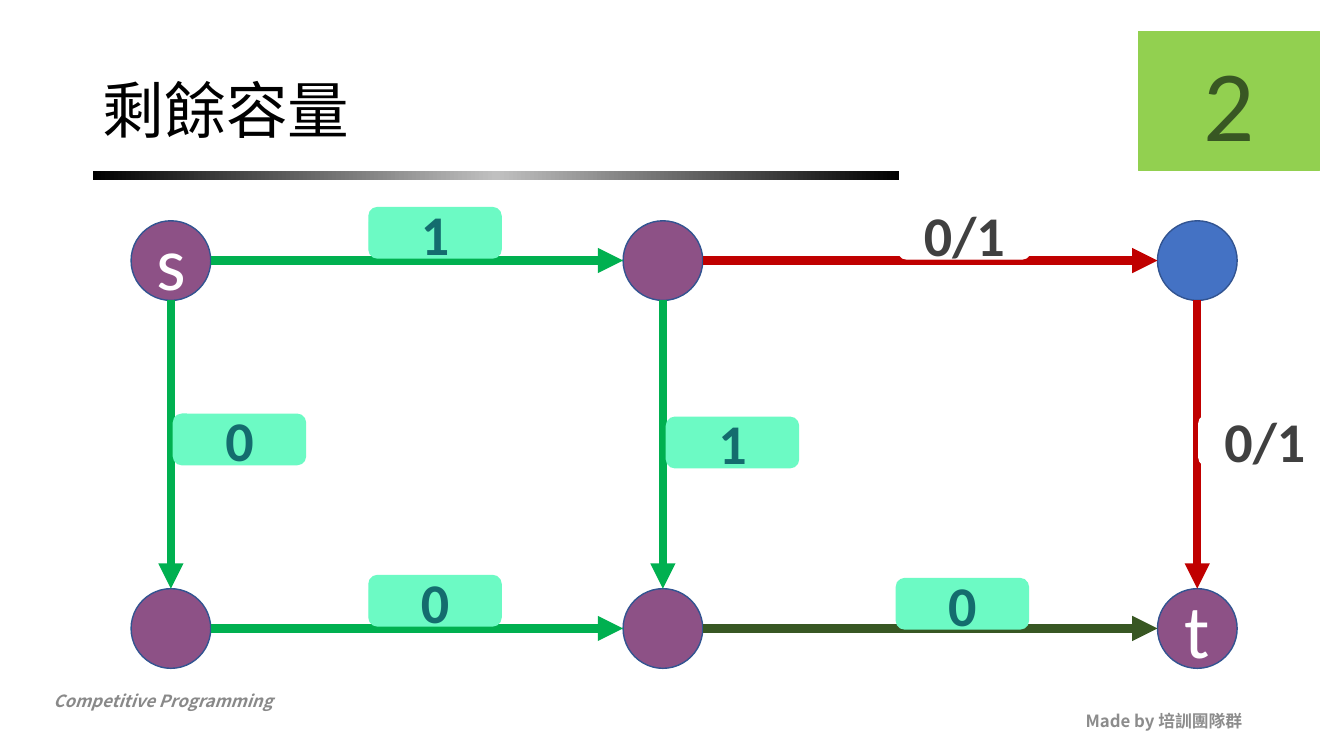
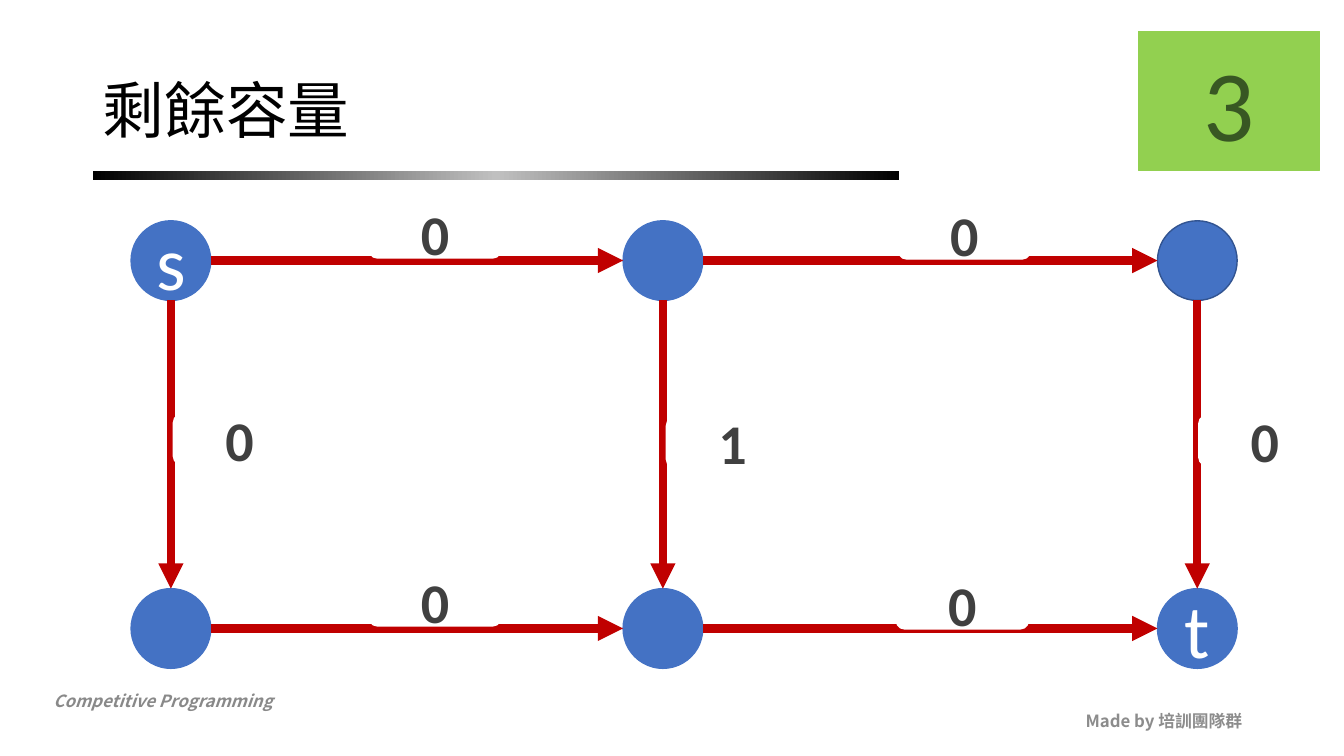
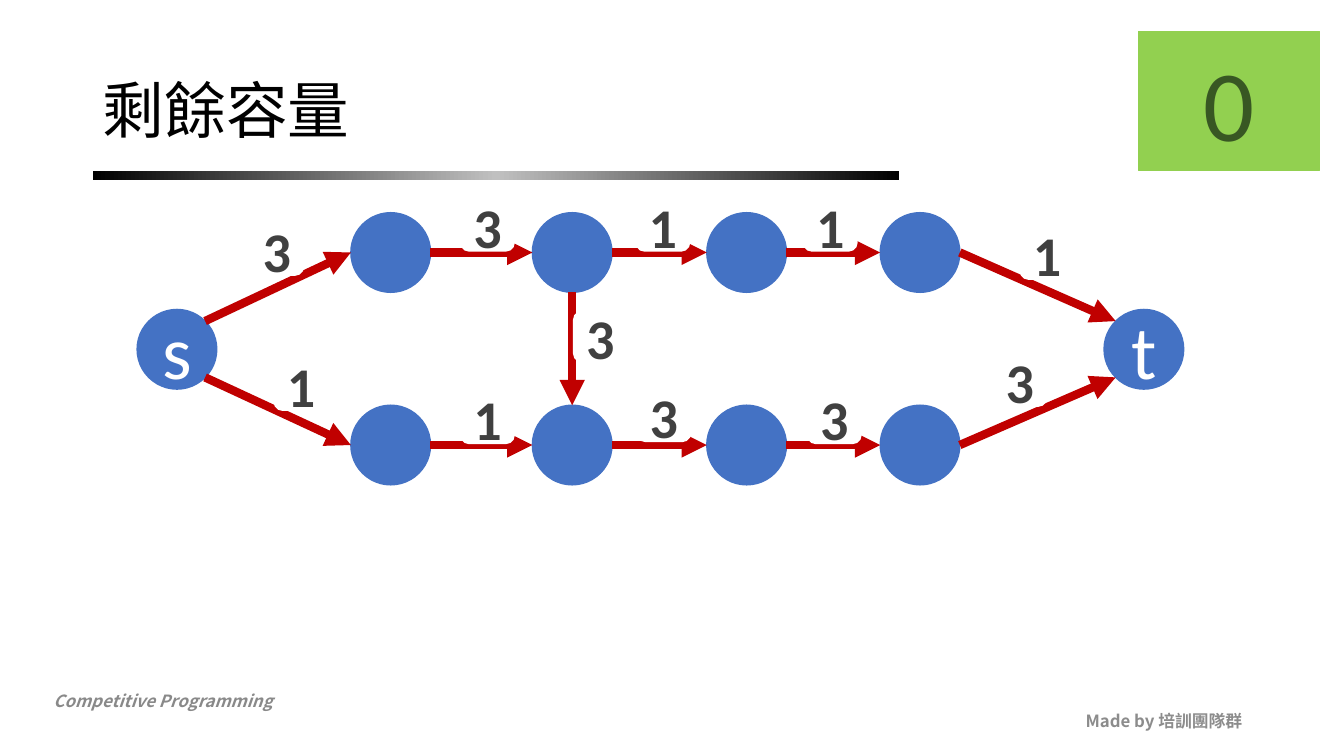
from copy import deepcopy
from dataclasses import dataclass
from math import sqrt

from lxml.etree import SubElement
from pptx import Presentation
from pptx.dml.color import RGBColor
from pptx.enum.shapes import MSO_CONNECTOR, MSO_SHAPE
from pptx.enum.text import MSO_ANCHOR, PP_ALIGN
from pptx.oxml.ns import qn
from pptx.util import Inches, Pt


@dataclass(frozen=True)
class Theme:
    latin: str = "Calibri"
    cjk: str = "Noto Sans CJK SC"
    title_color: str = "000000"
    course_color: str = "898989"
    credit_color: str = "8C8C8C"
    rule_stops: tuple = ((0, "000000"), (0.5, "C0C0C0"), (1, "000000"))
    badge_fill: str = "92D050"
    badge_text: str = "385723"
    node_text: str = "FFFFFF"
    title_size: int = 44
    footer_size: int = 12
    badge_size: int = 72
    node_size: int = 54
    label_size: int = 40
    outline: int = 1
    arrow: int = 6


T = Theme()

# Node look: fill, outline
NODE_LOOKS = {
    "idle": ("4472C4", "4472C4"),
    "outlined": ("4472C4", "325491"),
    "visited": ("8D5186", "325491"),
}
# Edge look: arrow, label fill, label text
EDGE_LOOKS = {
    "idle": ("C00000", "FFFFFF", "404040"),
    "path": ("00B050", "6CFAC4", "146C6E"),
    "last": ("385723", "6CFAC4", "146C6E"),
}

TITLE = "剩餘容量"
COURSE = "Competitive Programming"
CREDIT = "Made by 培訓團隊群"

NODE = 0.79
LABEL_H = 0.5
DIAGONAL = sqrt(0.5)
PORTS = {
    "n": (0, -1), "s": (0, 1), "w": (-1, 0), "e": (1, 0),
    "ne": (DIAGONAL, -DIAGONAL), "se": (DIAGONAL, DIAGONAL),
    "nw": (-DIAGONAL, -DIAGONAL), "sw": (-DIAGONAL, DIAGONAL),
}


def node_grid(names, columns, rows):
    """Node names, row by row, mapped to their left and top."""
    places = [(x, y) for y in rows for x in columns]
    return dict(zip(names, places))


# Edge: start node, its port, end node, its port, label left, label top
GRID = dict(
    label_w=1.31,
    nodes=node_grid(["s", "b1", "c1", "a2", "b2", "t"],
                    [1.3, 6.18, 11.48], [2.19, 5.84]),
    edges=[
        ("s", "e", "b1", "w", 3.66, 2.06),
        ("a2", "e", "b2", "w", 3.66, 5.71),
        ("s", "s", "a2", "n", 1.72, 4.11),
        ("b1", "e", "c1", "w", 8.91, 2.07),
        ("b1", "s", "b2", "n", 6.61, 4.14),
        ("b2", "e", "t", "w", 8.89, 5.74),
        ("c1", "s", "t", "n", 11.89, 4.12),
    ],
)
CHAIN = dict(
    label_w=0.53,
    nodes={
        **node_grid(["a1", "b1", "c1", "d1", "a2", "b2", "c2", "d2"],
                    [3.48, 5.28, 7.01, 8.73], [2.11, 4.02]),
        "s": (1.36, 3.07),
        "t": (10.95, 3.07),
    },
    edges=[
        ("s", "ne", "a1", "w", 2.48, 2.23),
        ("s", "se", "a2", "w", 2.72, 3.57),
        ("a1", "e", "b1", "w", 4.57, 1.99),
        ("b1", "e", "c1", "w", 6.31, 1.99),
        ("c1", "e", "d1", "w", 7.97, 1.99),
        ("a2", "e", "b2", "w", 4.57, 3.9),
        ("b2", "e", "c2", "w", 6.32, 3.88),
        ("c2", "e", "d2", "w", 8.01, 3.9),
        ("b1", "s", "b2", "n", 5.69, 3.09),
        ("d1", "e", "t", "nw", 10.12, 2.27),
        ("d2", "e", "t", "sw", 9.85, 3.53),
    ],
)

# Capacities and edge looks follow the order of the graph's edges
SLIDES = [
    dict(flow="2", graph=GRID,
         capacities=["1", "0", "0", "0/1", "1", "0", "0/1"],
         edge_looks=["path", "path", "path", "idle", "path", "last", "idle"],
         node_looks={**dict.fromkeys(["s", "b1", "a2", "b2", "t"], "visited"),
                     "c1": "outlined"}),
    dict(flow="3", graph=GRID,
         capacities=["0", "0", "0", "0", "1", "0", "0"],
         node_looks={"c1": "outlined"}),
    dict(flow="0", graph=CHAIN,
         capacities=["3", "1", "3", "1", "1", "1", "3", "3", "3", "1", "3"]),
]


def rgb(color):
    return RGBColor.from_string(color)


def write(tf, text, font, size, color, bold=False, italic=False,
          align=PP_ALIGN.LEFT, anchor=MSO_ANCHOR.MIDDLE):
    tf.word_wrap = True
    tf.vertical_anchor = anchor
    p = tf.paragraphs[0]
    p.alignment = align
    r = p.add_run()
    r.text = text
    f = r.font
    f.name, f.size, f.bold, f.italic = font, Pt(size), bold, italic
    f.color.rgb = rgb(color)
    SubElement(r.font._element, qn("a:ea")).set("typeface", font)
    return p


def add_shape(slide, kind, x, y, w, h, fill, outline):
    sp = slide.shapes.add_shape(kind, Inches(x), Inches(y), Inches(w), Inches(h))
    sp.shadow.inherit = False
    sp.fill.solid()
    sp.fill.fore_color.rgb = rgb(fill)
    sp.line.color.rgb = rgb(outline)
    sp.line.width = Pt(T.outline)
    return sp


def add_arrow(slide, start, end, color):
    (x1, y1), (x2, y2) = start, end
    cxn = slide.shapes.add_connector(
        MSO_CONNECTOR.STRAIGHT, Inches(x1), Inches(y1), Inches(x2), Inches(y2))
    cxn.line.color.rgb = rgb(color)
    cxn.line.width = Pt(T.arrow)
    props = cxn.element.spPr
    SubElement(props.find(qn("a:ln")), qn("a:tailEnd")).set("type", "triangle")
    SubElement(props, qn("a:effectLst"))


def add_rule(slide):
    """Draw the gradient bar under the title."""
    sp = slide.shapes.add_shape(
        MSO_SHAPE.RECTANGLE, Inches(0.92), Inches(1.7), Inches(8), Inches(0.09))
    sp.shadow.inherit = False
    sp.line.fill.background()
    sp.fill.gradient()
    sp.fill.gradient_angle = 0
    stop_list = sp.element.spPr.find(".//" + qn("a:gsLst"))
    stop_list.append(deepcopy(stop_list[-1]))
    for stop, (position, color) in zip(sp.fill.gradient_stops, T.rule_stops):
        stop.position = position
        stop.color.rgb = rgb(color)
    return sp


def add_footer(slide, x, y, w, h, text, color, **style):
    box = slide.shapes.add_textbox(Inches(x), Inches(y), Inches(w), Inches(h))
    write(box.text_frame, text, T.cjk, T.footer_size, color, bold=True, **style)
    return box


def dress_layout(layout, slide):
    """Give the layout its title place, rule and footers, drawn via one slide."""
    title = layout.placeholders[0]
    title.left, title.top = Inches(0.92), Inches(0.4)
    title.width, title.height = Inches(11.5), Inches(1.45)
    for part in (
        add_footer(slide, 0.43, 6.8, 4.25, 0.3, COURSE, T.course_color,
                   italic=True, anchor=MSO_ANCHOR.TOP),
        add_footer(slide, 9.42, 6.95, 3, 0.4, CREDIT, T.credit_color,
                   align=PP_ALIGN.RIGHT),
        add_rule(slide),
    ):
        layout.shapes.element.append(part.element)


def port(place, side):
    """Point on a node's rim at the named side."""
    return tuple(corner + NODE / 2 * (1 + step)
                 for corner, step in zip(place, PORTS[side]))


def draw_graph(slide, graph, capacities, edge_looks=None, node_looks=None):
    nodes, edges = graph["nodes"], graph["edges"]
    looks = [EDGE_LOOKS[name] for name in edge_looks or ["idle"] * len(edges)]
    for name, (x, y) in nodes.items():
        fill, outline = NODE_LOOKS[(node_looks or {}).get(name, "idle")]
        sp = add_shape(slide, MSO_SHAPE.OVAL, x, y, NODE, NODE, fill, outline)
        if name in ("s", "t"):
            write(sp.text_frame, name, T.latin, T.node_size, T.node_text,
                  align=PP_ALIGN.CENTER)
    for (start, out, end, into, *_), (color, *_) in zip(edges, looks):
        add_arrow(slide, port(nodes[start], out), port(nodes[end], into), color)
    for (*_, x, y), capacity, (_, fill, color) in zip(edges, capacities, looks):
        sp = add_shape(slide, MSO_SHAPE.ROUNDED_RECTANGLE, x, y,
                       graph["label_w"], LABEL_H, fill, fill)
        write(sp.text_frame, capacity, T.latin, T.label_size, color, bold=True,
              align=PP_ALIGN.CENTER)


def add_flow_slide(slide, flow, **graph):
    p = write(slide.shapes.title.text_frame, TITLE, T.cjk, T.title_size,
              T.title_color)
    p.line_spacing = 0.9
    draw_graph(slide, **graph)
    badge = add_shape(slide, MSO_SHAPE.RECTANGLE, 11.29, 0.31, 1.8, 1.38,
                      T.badge_fill, T.badge_fill)
    write(badge.text_frame, flow, T.latin, T.badge_size, T.badge_text,
          align=PP_ALIGN.CENTER)


def main():
    prs = Presentation()
    prs.slide_width, prs.slide_height = Inches(13.33), Inches(7.5)
    layout = prs.slide_layouts.get_by_name("Title Only")
    slides = [prs.slides.add_slide(layout) for _ in SLIDES]
    dress_layout(layout, slides[0])
    for slide, content in zip(slides, SLIDES):
        add_flow_slide(slide, **content)
    prs.save("out.pptx")


if __name__ == "__main__":
    main()
